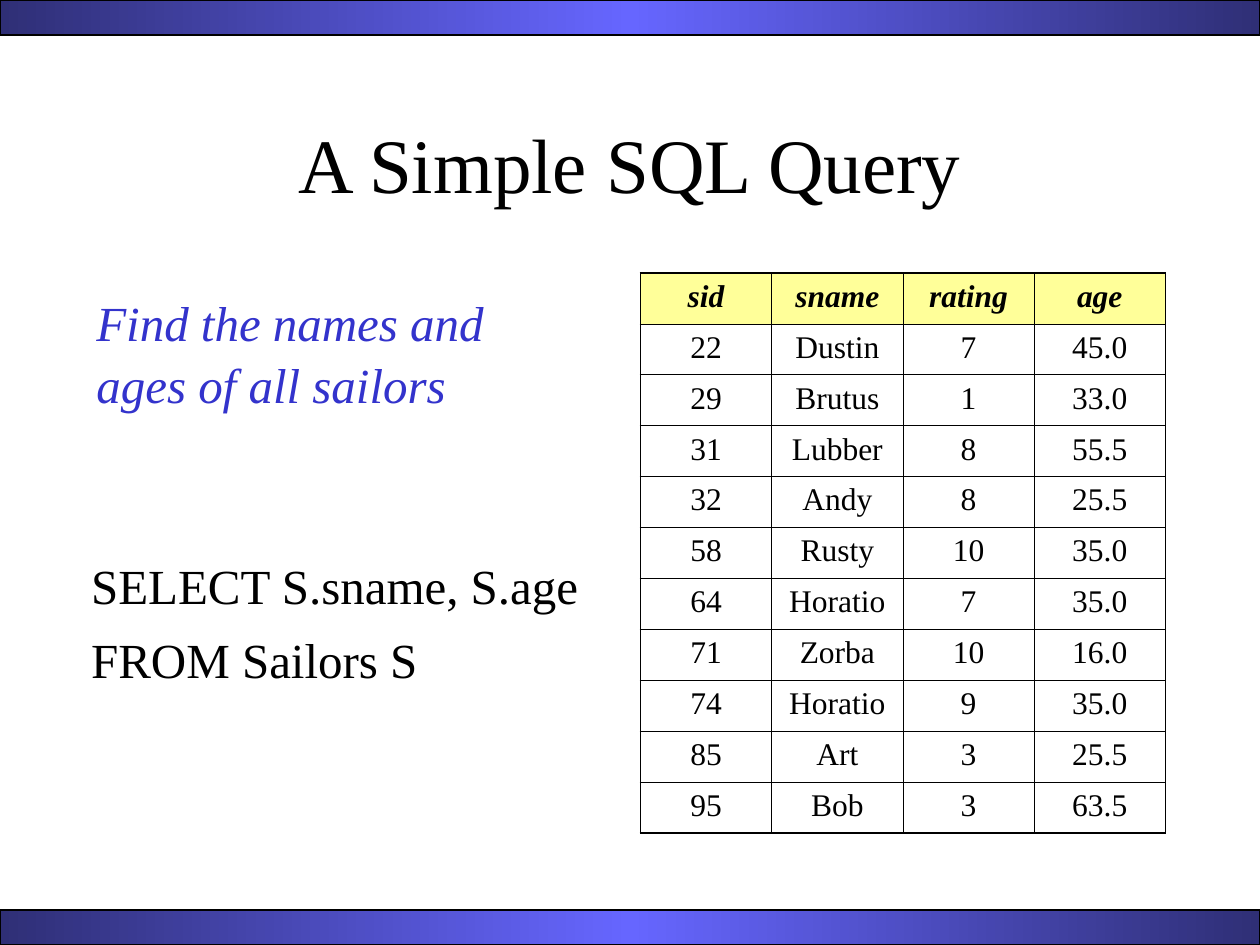
from copy import deepcopy
from dataclasses import dataclass

from lxml import etree
from pptx import Presentation
from pptx.dml.color import RGBColor
from pptx.enum import shapes, text
from pptx.oxml import ns
from pptx.util import Pt


@dataclass(frozen=True)
class Theme:
    """Colours, type sizes and line widths of the slide."""
    font: str = "Times New Roman"
    ink: str = "000000"
    question: str = "3333CC"
    header: str = "FFFF99"
    bar_edge: str = "2F2F76"
    bar_centre: str = "6666FF"
    title_size: float = 44
    body_size: float = 28
    cell_size: float = 18
    bar_line: float = 0.75
    outer_line: float = 1.08
    inner_line: float = 0.45


THEME = Theme()
SLIDE_WIDTH, SLIDE_HEIGHT, BAR_HEIGHT = 720, 540, 20
SAILORS = [
    ("sid", "sname", "rating", "age"),
    ("22", "Dustin", "7", "45.0"),
    ("29", "Brutus", "1", "33.0"),
    ("31", "Lubber", "8", "55.5"),
    ("32", "Andy", "8", "25.5"),
    ("58", "Rusty", "10", "35.0"),
    ("64", "Horatio", "7", "35.0"),
    ("71", "Zorba", "10", "16.0"),
    ("74", "Horatio", "9", "35.0"),
    ("85", "Art", "3", "25.5"),
    ("95", "Bob", "3", "63.5"),
]


def style(paragraph, size, color=THEME.ink, bold=False, italic=False):
    """Set the font of a paragraph."""
    font = paragraph.font
    font.name, font.size = THEME.font, Pt(size)
    font.bold, font.italic = bold, italic
    font.color.rgb = RGBColor.from_string(color)


def add_bar(slide, box):
    """Add a band that brightens towards its centre."""
    bar = slide.shapes.add_shape(shapes.MSO_SHAPE.RECTANGLE, *map(Pt, box))
    bar.shadow.inherit = False
    bar.line.color.rgb = RGBColor.from_string(THEME.ink)
    bar.line.width = Pt(THEME.bar_line)
    bar.fill.gradient()
    bar.fill.gradient_angle = 0
    stops = bar.fill.gradient_stops
    for stop in stops:
        stop.color.rgb = RGBColor.from_string(THEME.bar_edge)
    stops[0].position, stops[1].position = 0, 1
    first = bar.element.spPr.find(".//" + ns.qn("a:gs"))
    first.addnext(deepcopy(first))
    centre = bar.fill.gradient_stops[1]
    centre.position = 0.5
    centre.color.rgb = RGBColor.from_string(THEME.bar_centre)


def add_text(slide, box, lines):
    """Add a wrapping text box and return its frame."""
    frame = slide.shapes.add_textbox(*map(Pt, box)).text_frame
    frame.word_wrap = True
    frame.text = "\n".join(lines)
    return frame


def add_title(slide, box):
    """Add the centred heading."""
    frame = add_text(slide, box, ["A Simple SQL Query"])
    frame.vertical_anchor = text.MSO_ANCHOR.MIDDLE
    heading = frame.paragraphs[0]
    heading.alignment = text.PP_ALIGN.CENTER
    style(heading, THEME.title_size)


def add_query(slide, box):
    """Add the SQL statement with indented lines."""
    clauses = ["SELECT S.sname, S.age", "FROM Sailors S"]
    for clause in add_text(slide, box, clauses).paragraphs:
        clause.space_before = Pt(7)
        clause.line_spacing = 1.05
        clause._p.get_or_add_pPr().set("marL", str(Pt(27)))
        style(clause, THEME.body_size)


def add_question(slide, box):
    """Add the question that the query answers."""
    frame = add_text(slide, box, ["Find the names and ages of all sailors"])
    question = frame.paragraphs[0]
    question.space_before = Pt(17.5)
    question.line_spacing = 1.05
    style(question, THEME.body_size, THEME.question, italic=True)


def set_borders(cell, outer_sides):
    """Draw the four cell borders, heavier on the table's outer sides."""
    properties = cell._tc.get_or_add_tcPr()
    for side in "LRTB":
        width = THEME.outer_line if side in outer_sides else THEME.inner_line
        line = etree.SubElement(properties, ns.qn("a:ln" + side), w=str(Pt(width)))
        fill = etree.SubElement(line, ns.qn("a:solidFill"))
        etree.SubElement(fill, ns.qn("a:srgbClr"), val=THEME.ink)


def add_sailors(slide, box):
    """Add the table of sailors with a tinted header row."""
    row_count, column_count = len(SAILORS), len(SAILORS[0])
    table = slide.shapes.add_table(row_count, column_count, *map(Pt, box)).table
    table.horz_banding = False
    for column in table.columns:
        column.width = Pt(box[2] / column_count)
    for r, sailor in enumerate(SAILORS):
        table.rows[r].height = Pt(box[3] / row_count)
        for c, value in enumerate(sailor):
            cell = table.cell(r, c)
            edges = {"L": c == 0, "R": c == column_count - 1,
                     "T": r == 0, "B": r == row_count - 1}
            set_borders(cell, [side for side, outer in edges.items() if outer])
            is_header = r == 0
            if is_header:
                cell.fill.solid()
                cell.fill.fore_color.rgb = RGBColor.from_string(THEME.header)
            else:
                cell.fill.background()
            cell.text = value
            entry = cell.text_frame.paragraphs[0]
            entry.alignment = text.PP_ALIGN.CENTER
            entry.space_before = Pt(4.5)
            style(entry, THEME.cell_size, bold=is_header, italic=is_header)


def main():
    """Build and save the slide."""
    deck = Presentation()
    deck.slide_width, deck.slide_height = Pt(SLIDE_WIDTH), Pt(SLIDE_HEIGHT)
    slide = deck.slides.add_slide(deck.slide_layouts[6])
    for top in (0, SLIDE_HEIGHT - BAR_HEIGHT):
        add_bar(slide, (0, top, SLIDE_WIDTH, BAR_HEIGHT))
    add_title(slide, (54, 48, 612, 90))
    add_query(slide, (18, 312, 354, 192))
    add_question(slide, (48, 162, 276, 75))
    add_sailors(slide, (366, 156, 300, 320))
    deck.save("out.pptx")


if __name__ == "__main__":
    main()
